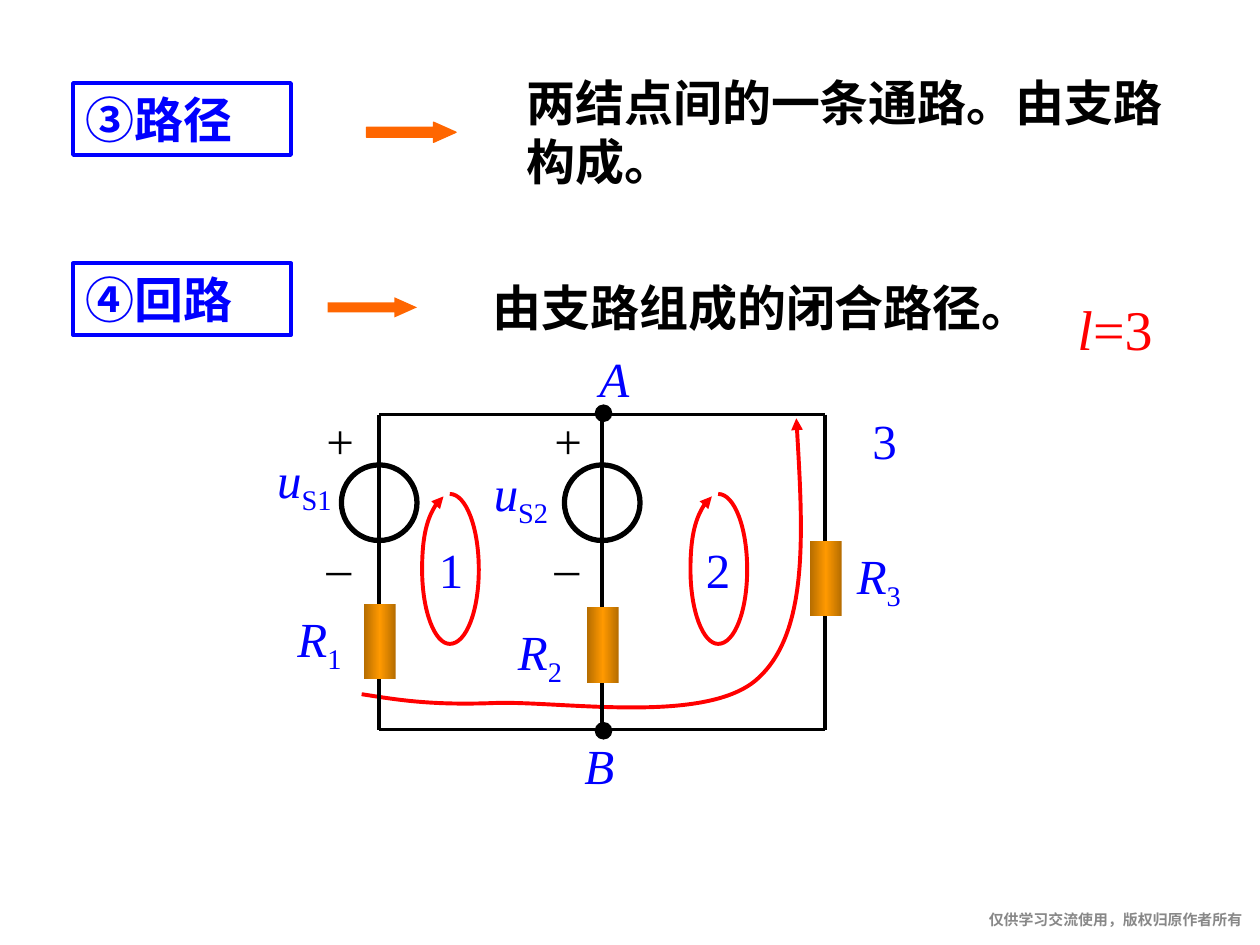
from copy import deepcopy
from dataclasses import dataclass

from lxml import etree
from pptx import Presentation
from pptx.dml.color import RGBColor
from pptx.enum.shapes import MSO_CONNECTOR, MSO_SHAPE
from pptx.enum.text import MSO_ANCHOR, MSO_AUTO_SIZE, PP_ALIGN
from pptx.oxml.ns import qn
from pptx.util import Inches, Pt

STRAIGHT = MSO_CONNECTOR.STRAIGHT
RECTANGLE, ELLIPSE, ARROW = MSO_SHAPE.RECTANGLE, MSO_SHAPE.OVAL, MSO_SHAPE.RIGHT_ARROW
TOP, MIDDLE = MSO_ANCHOR.TOP, MSO_ANCHOR.MIDDLE
LEFT, CENTER, RIGHT = PP_ALIGN.LEFT, PP_ALIGN.CENTER, PP_ALIGN.RIGHT
GROW = MSO_AUTO_SIZE.SHAPE_TO_FIT_TEXT


@dataclass(frozen=True)
class Theme:
    ink: RGBColor = RGBColor(0x00, 0x00, 0x00)
    blue: RGBColor = RGBColor(0x00, 0x00, 0xFF)
    red: RGBColor = RGBColor(0xFF, 0x00, 0x00)
    arrow: RGBColor = RGBColor(0xFF, 0x66, 0x00)
    resistor_edge: RGBColor = RGBColor(0xB6, 0x6D, 0x00)
    resistor_core: RGBColor = RGBColor(0xFF, 0x99, 0x00)
    grey: RGBColor = RGBColor(0x88, 0x88, 0x88)
    serif: str = "Times New Roman"
    chinese: str = "Noto Sans CJK SC"
    footer: str = "Arial"
    body_size: float = 28
    count_size: float = 32
    footer_size: float = 8.5
    stroke: float = 2.25
    source_stroke: float = 3


theme = Theme()
deck = Presentation()
deck.slide_width, deck.slide_height = Inches(10), Inches(7.5)
page = deck.slides.add_slide(deck.slide_layouts[6])

# The page is a grid of 100 columns by 75 rows of square cells.
cell = deck.slide_width // 100


def write(box, spans, color, size=theme.body_size, font=theme.serif, bold=False,
          align=LEFT, anchor=MIDDLE, wrap=False):
    """Fill a box with (text, style) spans; style is "", "italic" or "sub"."""
    frame = box.text_frame
    frame.word_wrap, frame.auto_size, frame.vertical_anchor = wrap, GROW, anchor
    para = frame.paragraphs[0]
    para.alignment = align
    for text, style in spans:
        span = para.add_run()
        span.text = text
        span.font.name, span.font.size, span.font.bold = font, Pt(size), bold
        span.font.color.rgb = color
        span.font.italic = style == "italic"
        properties = span.font._element
        if style == "sub":
            properties.set("baseline", "-25000")
        east_asian = etree.Element(qn("a:ea"), typeface=theme.chinese)
        properties.find(qn("a:latin")).addnext(east_asian)
    return para


def draw_curve(points):
    """Draw a red arrow along Bezier curves: a start, then three points per curve."""
    scaled = [(round(x * cell), round(y * cell)) for x, y in points]
    builder = page.shapes.build_freeform(*scaled[0])
    builder.add_line_segments(scaled[1:], close=False)
    curve = builder.convert_to_shape()
    curve.shadow.inherit = False
    curve.fill.background()
    curve.line.color.rgb, curve.line.width = theme.red, Pt(theme.stroke)
    etree.SubElement(curve.line._get_or_add_ln(), qn("a:tailEnd"), type="triangle")
    segments = list(curve._element.iter(qn("a:lnTo")))
    for start in range(0, len(segments), 3):
        bezier = etree.Element(qn("a:cubicBezTo"))
        segments[start].addprevious(bezier)
        for segment in segments[start:start + 3]:
            bezier.append(segment[0])
            segment.getparent().remove(segment)


# Definitions
definitions = [
    ((38.1, 21.5, 52.8, 5.7), "由支路组成的闭合路径。", theme.chinese),
    ((40.8, 5.3, 54.3, 10.3), "两结点间的一条通路。由支路构成。", theme.serif),
]
for place, text, font in definitions:
    box = page.shapes.add_textbox(*(round(n * cell) for n in place))
    write(box, [(text, "")], theme.ink, font=font, bold=True, wrap=True)

count = page.shapes.add_textbox(*(round(n * cell) for n in (84.5, 22.9, 8, 6.3)))
write(count, [("l", "italic"), ("=3", "")], theme.red, theme.count_size, align=CENTER)

# Loops
LOOP = [(2.2, 0), (3.5, 0), (4.5, 2.7), (4.5, 6), (4.5, 9.3), (3.5, 11.9), (2.2, 11.9),
        (1, 11.9), (0, 9.3), (0, 6), (0, 3.2), (0.7, 0.9), (1.7, 0.2)]
for left in (33.5, 54.8):
    draw_curve([(left + x, 39.2 + y) for x, y in LOOP])
draw_curve([(28.7, 55.1), (31.3, 55.5), (34, 56), (39.2, 55.8), (44.4, 55.6),
            (56.2, 57.6), (60.2, 53.8), (64.2, 50.1), (63.7, 41.7), (63.2, 33.2)])
for number, left, top in (("1", 33.8, 42.3), ("2", 55, 42.3), ("3", 68.2, 32.1)):
    box = page.shapes.add_textbox(*(round(n * cell) for n in (left, top, 4, 5.7)))
    write(box, [(number, "")], theme.blue, align=CENTER)

# Terms and their arrows
terms = [("路径", 3, 6.6, 29.1, 9.7), ("回路", 4, 20.9, 26, 23.6)]
for term, number, top, arrow_left, arrow_top in terms:
    box = page.shapes.add_shape(
        RECTANGLE, *(round(n * cell) for n in (5.8, top, 17.3, 5.7)))
    box.shadow.inherit = False
    box.fill.background()
    box.line.color.rgb, box.line.width = theme.blue, Pt(theme.stroke)
    para = write(box, [(term, "")], theme.blue, font=theme.chinese, bold=True, wrap=True)
    layout = para._p.get_or_add_pPr()
    layout.set("marL", str(Inches(0.38)))
    layout.set("indent", str(-Inches(0.38)))
    etree.SubElement(layout, qn("a:buAutoNum"), type="circleNumDbPlain", startAt=str(number))

    arrow = page.shapes.add_shape(
        ARROW, *(round(n * cell) for n in (arrow_left, arrow_top, 7.1, 1.6)))
    arrow.shadow.inherit = False
    arrow.adjustments[0], arrow.adjustments[1] = 0.5, 1.12
    arrow.fill.solid()
    arrow.fill.fore_color.rgb = theme.arrow
    if number == 3:
        arrow.line.color.rgb, arrow.line.width = theme.arrow, Pt(0.75)
    else:
        arrow.line.fill.background()

# Circuit
circuit = page.shapes.add_group_shape().shapes
branches = [30.1 + 17.7 * index for index in range(3)]
upper, lower = 32.9, 57.9

for x in branches[:2]:
    source = circuit.add_shape(
        ELLIPSE, *(round(n * cell) for n in (x - 3, 36.9, 6, 6)))
    source.shadow.inherit = False
    source.fill.background()
    source.line.color.rgb, source.line.width = theme.ink, Pt(theme.source_stroke)

wires = [(x, upper, x, lower) for x in branches]
wires += [(branches[0], y, branches[-1], y) for y in (upper, lower)]
for ends in wires:
    wire = circuit.add_connector(STRAIGHT, *(round(n * cell) for n in ends))
    wire.line.color.rgb, wire.line.width = theme.ink, Pt(theme.stroke)
    etree.SubElement(wire._element.spPr, qn("a:effectLst"))

for x, top in zip(branches, (47.9, 48.2, 42.9)):
    resistor = circuit.add_shape(
        RECTANGLE, *(round(n * cell) for n in (x - 1.2, top, 2.5, 6)))
    resistor.shadow.inherit = False
    resistor.line.fill.background()
    resistor.fill.gradient()
    resistor.fill.gradient_angle = 0
    edge, core = resistor.fill.gradient_stops
    edge.color.rgb, core.color.rgb = theme.resistor_edge, theme.resistor_core
    edge.position, core.position = 0, 0.5
    first, middle = resistor._element.iter(qn("a:gs"))
    last = deepcopy(first)
    last.set("pos", "100000")
    middle.addnext(last)

for left in (24.9, 43):
    for sign, top, width in (("+", 32.1, 4.2), ("_", 40.8, 4)):
        box = circuit.add_textbox(*(round(n * cell) for n in (left, top, width, 5.7)))
        write(box, [(sign, "")], theme.ink, align=CENTER)

labels = [("R", "1", 20.6, 48.1), ("u", "S1", 19.4, 35.5), ("u", "S2", 36.6, 36.5),
          ("R", "2", 38.1, 49.1), ("R", "3", 65, 43.1)]
for symbol, index, left, top in labels:
    box = circuit.add_textbox(*(round(n * cell) for n in (left, top, 9.5, 5.7)))
    write(box, [(symbol, "italic"), (index, "sub")], theme.blue, align=CENTER, wrap=True)

for top in (32.1, 57.3):
    node = circuit.add_shape(ELLIPSE, *(round(n * cell) for n in (47.2, top, 1.4, 1.4)))
    node.shadow.inherit = False
    node.fill.solid()
    node.fill.fore_color.rgb = theme.ink
    node.line.fill.background()

for name, left, top in (("A", 46.6, 27.2), ("B", 45.4, 57.9)):
    box = page.shapes.add_textbox(*(round(n * cell) for n in (left, top, 4.4, 5.7)))
    write(box, [(name, "italic")], theme.blue, anchor=TOP)

# Footer
footer = page.shapes.add_textbox(*(round(n * cell) for n in (60.6, 72.3, 38, 2.2)))
frame = footer.text_frame
frame.margin_left = frame.margin_right = frame.margin_top = frame.margin_bottom = 0
write(footer, [("仅供学习交流使用，版权归原作者所有", "")], theme.grey, theme.footer_size,
      theme.footer, bold=True, align=RIGHT, anchor=TOP)

deck.save("out.pptx")
